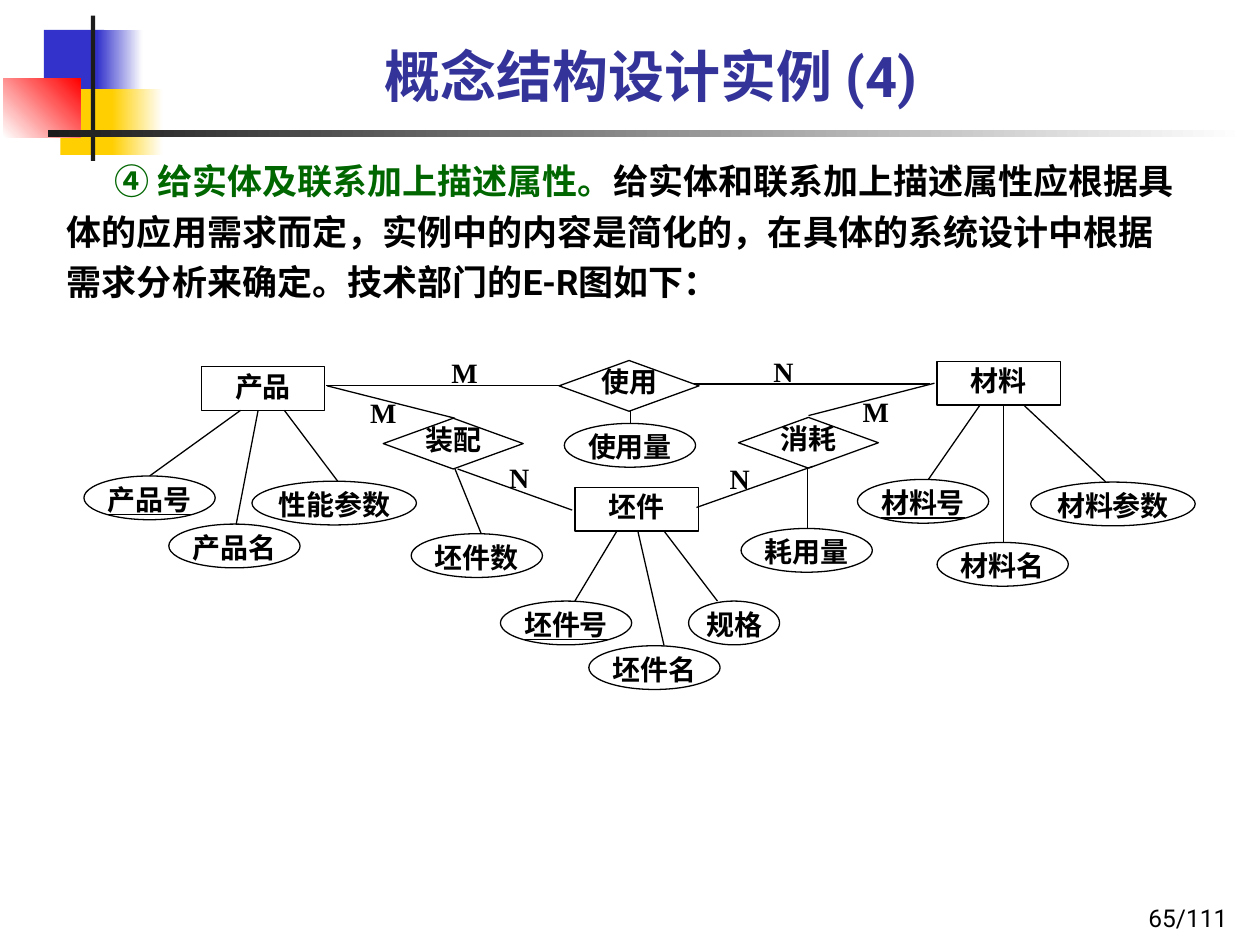
from dataclasses import dataclass

from lxml import etree
from pptx import Presentation
from pptx.dml.color import RGBColor
from pptx.enum.shapes import MSO_CONNECTOR as CONNECTOR, MSO_SHAPE as SHAPE
from pptx.enum.text import MSO_ANCHOR as ANCHOR, MSO_AUTO_SIZE as AUTO, PP_ALIGN as ALIGN
from pptx.oxml.ns import qn
from pptx.util import Pt


@dataclass(frozen=True)
class Theme:
    black: str = "000000"
    white: str = "FFFFFF"
    heading: str = "333399"
    accent: str = "006600"
    blue: str = "3333CC"
    yellow: str = "FFCF01"
    red: str = "FF0000"
    bar: str = "1C1C1C"
    sans: str = "Roboto"
    serif: str = "Times New Roman"
    title_size: float = 32
    body_size: float = 20
    label_size: float = 16
    page_size: float = 14
    line: float = 0.75


THEME = Theme()

ENTITY_SIZE = (70.5, 25)
DIAMOND_SIZE = (80, 29)
ATTRIBUTE_HEIGHT = 25
ATTRIBUTE_WIDTHS = {2: 52, 3: 75, 4: 94}  # by number of characters

# Each owner: label, left, top, attributes.
# Each attribute, relative to its owner: label, left, top, line start x, line end x, is key
ENTITIES = [
    ("产品", 67, 7.5, [("产品号", -67, 62.5, 22.5, -29.5, True),
                      ("产品名", -18.5, 90, 32.5, 20, False),
                      ("性能参数", 29, 65.5, 47.5, 78, False)]),
    ("材料", 487.5, 4.5, [("材料号", -45.5, 67.5, 24.5, -5, True),
                        ("材料名", 0, 103.5, 38, 38, False),
                        ("材料参数", 53.5, 69, 49.5, 96.5, False)]),
    ("坯件", 280.5, 76.5, [("坯件号", -42.5, 65, 24, 0, True),
                         ("坯件名", 8, 90.5, 36, 51, False),
                         ("规格", 65, 65, 51, 81.5, False)]),
]
RELATIONSHIPS = [
    ("使用", 271.5, 4, [("使用量", 3, 36, 41, 41, False)]),
    ("装配", 171, 37, [("坯件数", 16, 66, 41, 56, False)]),
    ("消耗", 374, 36.5, [("耗用量", 1.5, 63.5, 39.5, 39.5, False)]),
]
# Cardinality, its left and top, then the line's start and end
LINKS = [
    ("M", 210, 1, (138.5, 18.5), (273, 18.5)),
    ("N", 394, 0.5, (348.5, 17.5), (483.5, 17.5)),
    ("M", 163.5, 24, (139, 18.5), (212, 37)),
    ("M", 445, 23.5, (486, 17), (414, 35.5)),
    ("N", 243, 61, (213.5, 66), (279, 89.5)),
    ("N", 369, 61.5, (416.5, 64.5), (350, 88)),
]


def color(value):
    return RGBColor.from_string(value)


def style(run, size, face, ink, bold=True):
    font = run.font
    font.size, font.name, font.bold = Pt(size), face, bold
    font.color.rgb = color(ink)


def place(shape, left, top, width, height):
    shape.left, shape.top = Pt(left), Pt(top)
    shape.width, shape.height = Pt(width), Pt(height)


def add_label(shape, label, align=ALIGN.CENTER, top=0):
    frame = shape.text_frame
    frame.word_wrap = True
    frame.vertical_anchor = ANCHOR.TOP
    frame.margin_left = frame.margin_right = frame.margin_bottom = 0
    frame.margin_top = Pt(top)
    frame.text = label
    paragraph = frame.paragraphs[0]
    paragraph.alignment = align
    style(paragraph.runs[0], THEME.label_size, THEME.serif, THEME.black)
    return paragraph


def add_node(slide, kind, label, left, top, width, height, filled=True, inset=0):
    node = slide.shapes.add_shape(kind, Pt(left), Pt(top), Pt(width), Pt(height))
    node.shadow.inherit = False
    if filled:
        node.fill.solid()
        node.fill.fore_color.rgb = color(THEME.white)
    else:
        node.fill.background()
    node.line.color.rgb = color(THEME.black)
    node.line.width = Pt(THEME.line)
    return add_label(node, label, top=inset)


def add_link(slide, x1, y1, x2, y2):
    link = slide.shapes.add_connector(CONNECTOR.STRAIGHT, Pt(x1), Pt(y1), Pt(x2), Pt(y2))
    link.line.color.rgb = color(THEME.black)
    link.line.width = Pt(THEME.line)
    etree.SubElement(link._element.spPr, qn("a:effectLst"))


def draw_ornament(slide, left, top):
    """Coloured squares and crossed bars beside the title."""
    t = THEME
    parts = [  # x, y, width, height, start colour, end colour, angle
        (23, 8, 34.5, 37.5, t.blue, None, 0),
        (53.5, 8, 26, 37.5, t.blue, t.white, 0),
        (32.5, 42, 33, 37.5, t.yellow, None, 0),
        (62, 42, 29, 37.5, t.yellow, t.white, 0),
        (0, 36, 44, 33.5, t.white, t.red, 45),
        (50, 0, 2.5, 83, t.bar, None, 0),
        (25.5, 65, 684.5, 4.5, t.bar, t.white, 0),
    ]
    for x, y, width, height, start, end, angle in parts:
        block = slide.shapes.add_shape(
            SHAPE.RECTANGLE, Pt(left + x), Pt(top + y), Pt(width), Pt(height))
        block.shadow.inherit = False
        block.line.fill.background()
        if end is None:
            block.fill.solid()
            block.fill.fore_color.rgb = color(start)
        else:
            block.fill.gradient()
            block.fill.gradient_angle = angle
            for stop, ink in zip(block.fill.gradient_stops, (start, end)):
                stop.color.rgb = color(ink)


def fill_title(slide, *box):
    title = slide.shapes.title
    place(title, *box)
    frame = title.text_frame
    frame.text = "概念结构设计实例 (4)"
    frame.auto_size = AUTO.NONE
    frame.vertical_anchor = ANCHOR.BOTTOM
    paragraph = frame.paragraphs[0]
    paragraph.alignment = ALIGN.CENTER
    style(paragraph.runs[0], THEME.title_size, THEME.sans, THEME.heading)


def fill_body(slide, *box):
    body = slide.placeholders[1]
    place(body, *box)
    frame = body.text_frame
    frame.auto_size = AUTO.NONE
    paragraph = frame.paragraphs[0]
    # First-line indent without a bullet
    properties = paragraph._p.get_or_add_pPr()
    properties.set("marL", "0")
    properties.set("indent", str(Pt(27)))
    etree.SubElement(properties, qn("a:buNone"))
    paragraph.line_spacing = 1.2
    paragraph.space_before = Pt(0)
    passages = [
        ("④ 给实体及联系加上描述属性。", THEME.accent),
        ("给实体和联系加上描述属性应根据具体的应用需求而定，实例中的内容是简化的，"
         "在具体的系统设计中根据需求分析来确定。技术部门的E-R图如下：", THEME.black),
    ]
    for passage, ink in passages:
        run = paragraph.add_run()
        run.text = passage
        style(run, THEME.body_size, THEME.sans, ink)


def draw_diagram(slide, left, top):
    """Entities, relationships, their attributes and the links between them."""
    for kind, size, owners, inset, spacing in (
            (SHAPE.RECTANGLE, ENTITY_SIZE, ENTITIES, 1.5, 1),
            (SHAPE.DIAMOND, DIAMOND_SIZE, RELATIONSHIPS, 0, 0.72)):
        for owner, x, y, attributes in owners:
            x, y = left + x, top + y
            add_node(slide, kind, owner, x, y, *size, inset=inset).line_spacing = spacing
            for name, dx, dy, start, end, is_key in attributes:
                add_link(slide, x + start, y + size[1], x + end, y + dy)
                caption = add_node(slide, SHAPE.OVAL, name, x + dx, y + dy,
                                   ATTRIBUTE_WIDTHS[len(name)], ATTRIBUTE_HEIGHT, filled=False)
                if is_key:
                    caption.runs[0].font.underline = True
    for cardinality, x, y, (x1, y1), (x2, y2) in LINKS:
        add_link(slide, left + x1, top + y1, left + x2, top + y2)
        mark = slide.shapes.add_textbox(Pt(left + x), Pt(top + y), Pt(30), Pt(19.5))
        add_label(mark, cardinality, ALIGN.JUSTIFY)


def add_page_number(slide, *box):
    number = slide.shapes.add_textbox(*map(Pt, box))
    frame = number.text_frame
    frame.word_wrap = True
    frame.vertical_anchor = ANCHOR.BOTTOM
    frame.text = "65/111"
    paragraph = frame.paragraphs[0]
    paragraph.alignment = ALIGN.RIGHT
    style(paragraph.runs[0], THEME.page_size, THEME.sans, THEME.black, bold=False)


def main():
    deck = Presentation()
    deck.slide_width, deck.slide_height = Pt(720), Pt(540)
    slide = deck.slides.add_slide(deck.slide_layouts[1])
    draw_ornament(slide, 2, 9)
    fill_title(slide, 65, 3.5, 613.5, 62.5)
    fill_body(slide, 31, 83, 652.5, 119)
    draw_diagram(slide, 48, 202)
    add_page_number(slide, 558.5, 500.5, 150, 36)
    deck.save("out.pptx")


if __name__ == "__main__":
    main()
